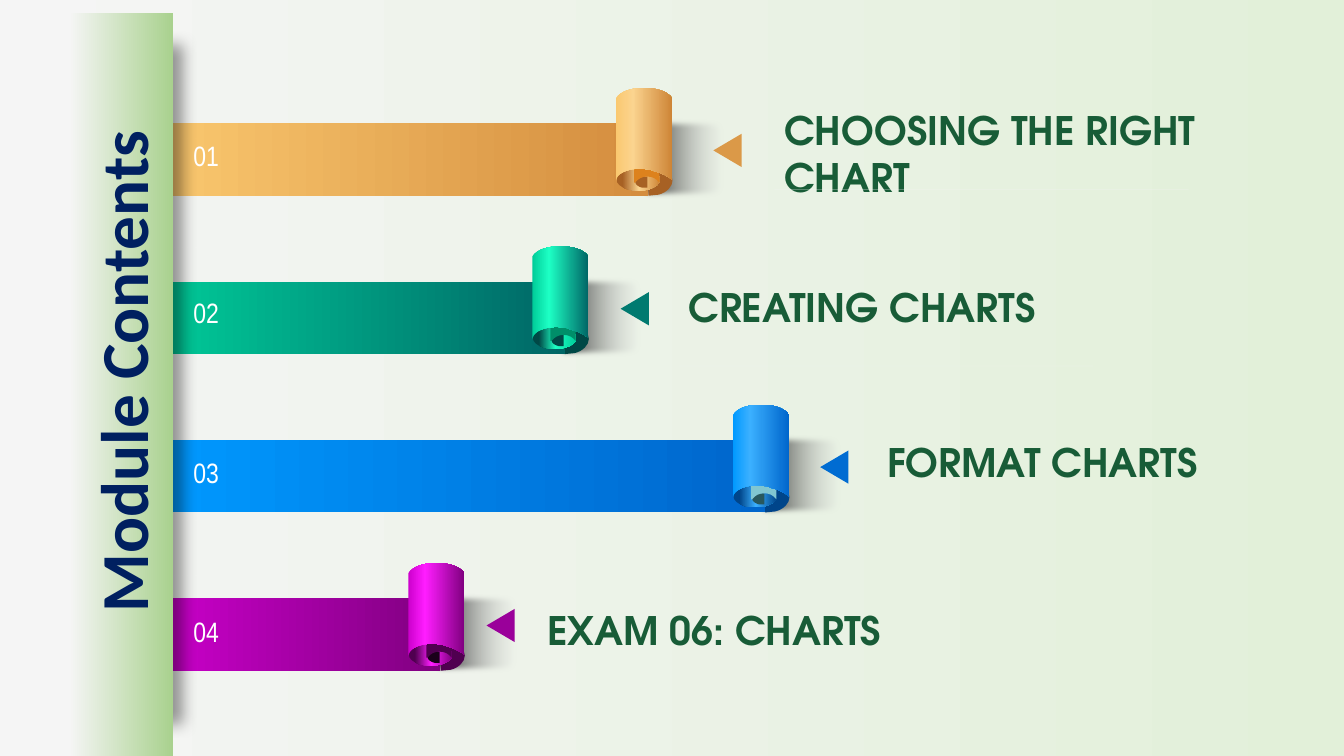
"""Build the module contents slide with four rolled ribbons."""
from dataclasses import dataclass
from typing import NamedTuple

from lxml.etree import SubElement
from pptx import Presentation
from pptx.dml.color import RGBColor
from pptx.enum.shapes import MSO_CONNECTOR, MSO_SHAPE
from pptx.enum.text import MSO_AUTO_SIZE, PP_ALIGN
from pptx.oxml.ns import qn
from pptx.util import Inches, Pt


class Ink(NamedTuple):
    light: str
    dark: str
    glow: str
    edge: str
    rim: str
    core: str
    pit: str
    back: str
    mark: str


class Stop(NamedTuple):
    place: int
    tint: str
    alpha: int = 100


class Box(NamedTuple):
    left: float
    top: float
    wide: float
    high: float


@dataclass(frozen=True)
class Theme:
    page: tuple = (Stop(0, "F5F5F5"), Stop(100, "E2F0D9"))
    panel: tuple = (Stop(0, "F5F5F5"), Stop(100, "A9D18E"))
    shade: tuple = (Stop(0, "000000"), Stop(100, "E9EBEA", 0))
    strip: str = "F4F4F4"
    black: str = "000000"
    white: str = "FFFFFF"
    rule: str = "F2F2F2"
    title: str = "002060"
    label: str = "185C37"
    small: int = 20
    mid: int = 28
    large: int = 48
    inks: tuple = (
        Ink("FAC86F", "D48D3E", "FBD48F", "CE8537", "CE8537",
            "A76124", "A76124", "DD821D", "DB9948"),
        Ink("00CC99", "006666", "1DFFC4", "006666", "00CC99",
            "004846", "004846", "008E69", "007A70"),
        Ink("0099FF", "0066CC", "3BB0FF", "0066CC", "00458A",
            "00458A", "28585E", "81C6D1", "006CD2"),
        Ink("CC00CC", "800080", "FF1DFF", "800080", "800080",
            "500050", "1A001A", "500050", "9A009A"),
    )


@dataclass(frozen=True)
class Item:
    text: str
    roll: float
    count: float
    mark: float
    label: Box
    rule: float = 0


THEME = Theme()
CELL = Inches(0.1)
FIRST, PITCH, EDGE, THICK = 12.22, 15.71, 15.1, 7.2
ITEMS = (
    Item("CHOOSING THE RIGHT CHART", 61.1, 13.3, 70.5, Box(76.8, 10.1, 53, 10.4), 18.8),
    Item("CREATING CHARTS", 52.8, 28.8, 61.3, Box(67.3, 27.6, 56.8, 5.7), 36.3),
    Item("FORMAT CHARTS", 72.7, 44.7, 81.1, Box(87, 43, 42.8, 5.7)),
    Item("EXAM 06: CHARTS", 40.5, 60.5, 48, Box(53.3, 59.7, 74.9, 5.7)),
)
CURL = ((4.45, 4.45), (5.05, 4.45, 5.65, 5.05, 5.85, 5.85), (5.95, 6.85),
        (2.85, 6.85), (2.95, 5.85), (3.25, 5.05, 3.75, 4.45, 4.45, 4.45))
PIT = ((2.55, 5.25), (2.25, 5.25, 2.05, 5.55, 1.95, 5.95), (1.95, 6.45),
       (3.05, 6.45), (3.05, 5.95), (2.95, 5.55, 2.75, 5.25, 2.55, 5.25))
BACK = ((1.8, 1.6), (2.2, 0.9, 3.9, 0.9, 4.3, 1.6), (4.3, 5.9),
        (4, 5.5, 3.6, 5.3, 3.1, 5.3), (2.6, 5.3, 2.2, 5.5, 1.9, 5.9), (1.8, 5.9))
FRONT = ((2.8, -3.5), (3.9, -3.5, 5.1, -3.2, 5.55, -2.5), (5.55, 5.6),
         (5.2, 5.3, 4.8, 5.1, 4.3, 4.9), (3.9, 4.8), (3.4, 4.6),
         (3.1, 4.6, 2.8, 4.5, 2.4, 4.5), (1.3, 4.5, 0.3, 4.9, 0.1, 5.4),
         (0, 5.7), (0, -2.5), (0.5, -3.2, 1.6, -3.5, 2.8, -3.5))


def span(*cells: float) -> list[int]:
    return [round(cell * CELL) for cell in cells]


def blend(fill, root, stops: tuple) -> None:
    fill.gradient()
    fill.gradient_angle = 0
    ramp = root.find(".//" + qn("a:gsLst"))
    for old in list(ramp):
        ramp.remove(old)
    for stop in stops:
        node = SubElement(ramp, qn("a:gs"), pos=str(stop.place * 1000))
        tint = SubElement(node, qn("a:srgbClr"), val=stop.tint)
        if stop.alpha < 100:
            SubElement(tint, qn("a:alpha"), val=str(stop.alpha * 1000))


def paint(shape, fill: str | tuple):
    shape.shadow.inherit = False
    shape.line.fill.background()
    if isinstance(fill, str):
        shape.fill.solid()
        shape.fill.fore_color.rgb = RGBColor.from_string(fill)
    else:
        blend(shape.fill, shape.element, fill)
    return shape


def block(slide, box: Box, fill: str | tuple, kind=MSO_SHAPE.RECTANGLE):
    return paint(slide.shapes.add_shape(kind, *span(*box)), fill)


def bend(shape, route: tuple) -> None:
    lines = iter(list(shape.element.iter(qn("a:lnTo"))))
    for step in route[1:]:
        first = next(lines)
        if len(step) == 6:
            first.tag = qn("a:cubicBezTo")
            for extra in (next(lines), next(lines)):
                first.append(extra[0])
                extra.getparent().remove(extra)


def patch(slide, left: float, top: float, route: tuple, fill: str | tuple,
          turn: int = 0) -> None:
    dots = [span(left + step[n], top + step[n + 1])
            for step in route for n in range(0, len(step), 2)]
    pen = slide.shapes.build_freeform(*dots[0], scale=1.0)
    pen.add_line_segments(dots[1:], close=True)
    shape = paint(pen.convert_to_shape(), fill)
    shape.rotation = turn
    bend(shape, route)


def write(slide, box: Box, text: str, *, font: str, size: int, tint: str,
          bold: bool = False, align=PP_ALIGN.LEFT, turn: int = 0) -> None:
    area = slide.shapes.add_textbox(*span(*box))
    area.rotation = turn
    frame = area.text_frame
    frame.word_wrap = True
    frame.auto_size = MSO_AUTO_SIZE.SHAPE_TO_FIT_TEXT
    line = frame.paragraphs[0]
    line.alignment = align
    run = line.add_run()
    run.text = text
    run.font.name, run.font.size, run.font.bold = font, Pt(size), bold
    run.font.color.rgb = RGBColor.from_string(tint)


def effect(shape, kind: str, **traits: str):
    return SubElement(shape.element.spPr.find(qn("a:effectLst")), qn(kind), **traits)


def ribbon(slide, item: Item, ink: Ink, top: float) -> None:
    left = item.roll
    shade = block(slide, Box(left + 2.1, top - 0.8, 9.3, 8.6), THEME.shade)
    effect(shade, "a:softEdge", rad=str(Pt(5)))
    patch(slide, left, top, CURL, ink.core, 90)
    block(slide, Box(EDGE, top, left + 3.2 - EDGE, THICK),
          (Stop(0, ink.light), Stop(100, ink.dark)))
    block(slide, Box(left + 0.05, top + 4.5, 4.3, 2.2),
          (Stop(14, ink.core), Stop(52, ink.glow), Stop(100, ink.rim)), MSO_SHAPE.OVAL)
    patch(slide, left, top, PIT, ink.pit, 270)
    patch(slide, left, top, BACK, ink.back)
    patch(slide, left, top, FRONT,
          (Stop(0, ink.light), Stop(30, ink.glow), Stop(100, ink.edge)))


def panel(slide) -> None:
    strip = block(slide, Box(11.6, 4.5, 5.5, 67.2), THEME.strip)
    cast = effect(strip, "a:outerShdw", blurRad=str(Pt(11)), dist=str(Pt(7)), dir="0")
    tint = SubElement(cast, qn("a:srgbClr"), val=THEME.black)
    SubElement(tint, qn("a:alpha"), val="40000")
    block(slide, Box(6.8, 1.3, 10.4, 73.7), THEME.panel)


def rule(slide, left: float, top: float) -> None:
    line = slide.shapes.add_connector(MSO_CONNECTOR.STRAIGHT,
                                      *span(left, top, left + 41.1, top))
    line.line.width = Pt(0.5)
    line.line.color.rgb = RGBColor.from_string(THEME.rule)
    tint = line.element.find(".//" + qn("a:srgbClr"))
    SubElement(tint, qn("a:alpha"), val="30000")
    SubElement(line.element.spPr, qn("a:effectLst"))


def main() -> None:
    deck = Presentation()
    deck.slide_width, deck.slide_height = Inches(13.33), Inches(7.5)
    slide = deck.slides.add_slide(deck.slide_layouts[6])
    blend(slide.background.fill, slide.element, THEME.page)
    rows = [(item, ink, FIRST + PITCH * n)
            for n, (item, ink) in enumerate(zip(ITEMS, THEME.inks))]
    for item, ink, top in rows:
        ribbon(slide, item, ink, top)
    panel(slide)
    for count, (item, ink, top) in enumerate(rows, 1):
        write(slide, Box(18.2, item.count, 5.5, 4.4), f"{count:02}",
              font="Arial Narrow", size=THEME.small, tint=THEME.white)
        mark = block(slide, Box(item.mark, top + 1.3, 3.3, 2.8), ink.mark,
                     MSO_SHAPE.ISOSCELES_TRIANGLE)
        mark.rotation = 270
        write(slide, item.label, item.text, font="TeX Gyre Adventor",
              size=THEME.mid, tint=THEME.label, bold=True)
        if item.rule:
            rule(slide, item.label.left, item.rule)
    write(slide, Box(-24.7, 32.3, 73.7, 9.1), "Module Contents", font="Calibri",
          size=THEME.large, tint=THEME.title, bold=True,
          align=PP_ALIGN.CENTER, turn=270)
    deck.save("out.pptx")


if __name__ == "__main__":
    main()
